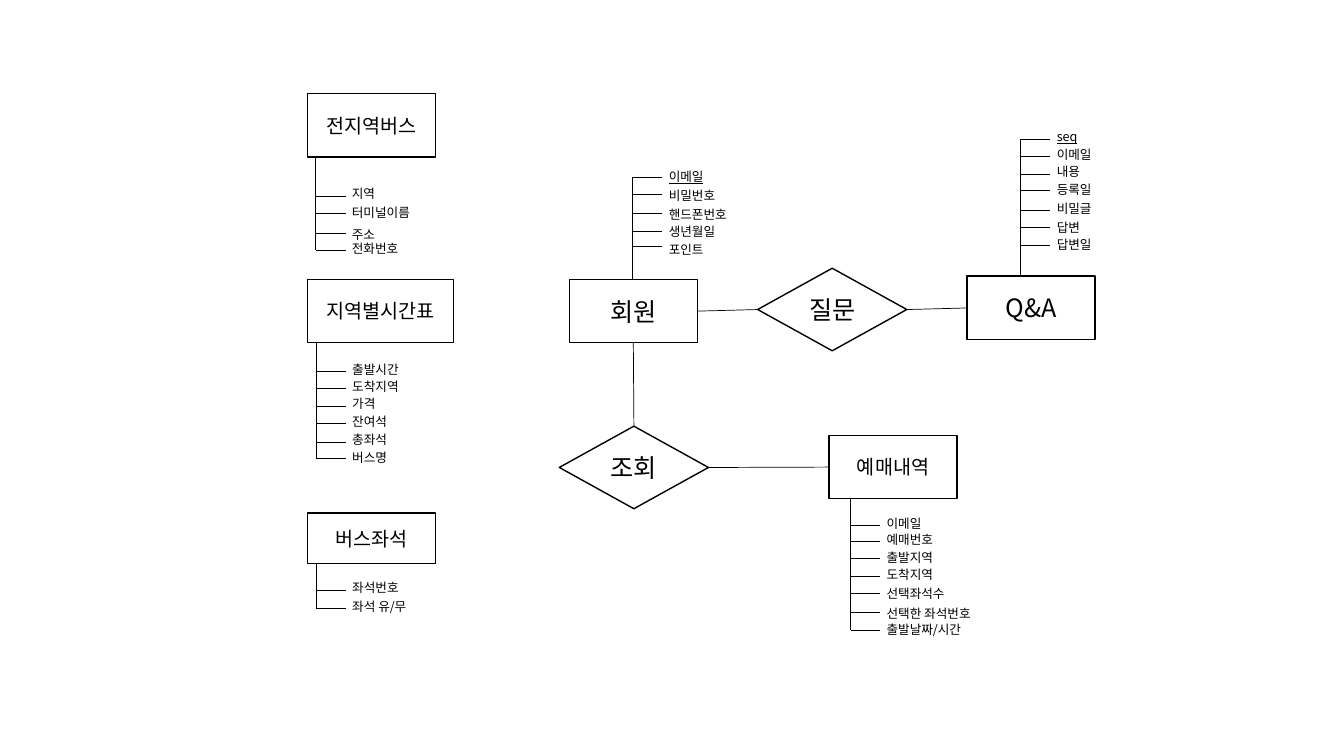
from dataclasses import dataclass

from lxml.etree import SubElement
from pptx import Presentation
from pptx.dml.color import RGBColor
from pptx.enum.shapes import MSO_CONNECTOR, MSO_SHAPE
from pptx.enum.text import MSO_ANCHOR, PP_ALIGN
from pptx.oxml.ns import qn
from pptx.shapes.autoshape import Shape
from pptx.shapes.connector import Connector
from pptx.slide import Slide
from pptx.text.text import TextFrame
from pptx.util import Cm, Pt

FONT = "Noto Sans CJK KR"
BLACK = "000000"
WHITE = "FFFFFF"
TOP, LEFT, BOTTOM, RIGHT = range(4)
BRANCH_LENGTH = 0.75
LABEL_OFFSET = 0.66
LABEL_HEIGHT = 0.64


@dataclass(frozen=True)
class Attribute:
    name: str
    branch_y: float
    label_top: float
    width: float = 2.06
    is_key: bool = False


@dataclass(frozen=True)
class Node:
    name: str
    left: float
    top: float
    width: float = 3.23
    height: float = 1.6
    size: int = 14
    outline: MSO_SHAPE = MSO_SHAPE.RECTANGLE
    trunk_x: float = 0
    attributes: tuple[Attribute, ...] = ()


@dataclass(frozen=True)
class Link:
    start: str
    start_side: int
    end: str
    end_side: int


NODES = (
    Node("전지역버스", 7.75, 2.36, trunk_x=7.96, attributes=(
        Attribute("지역", 4.95, 4.57),
        Attribute("터미널이름", 5.38, 5.05, 2.16),
        Attribute("주소", 5.87, 5.59),
        Attribute("전화번호", 6.3, 5.94),
    )),
    Node("지역별시간표", 7.75, 7.04, width=3.68, trunk_x=7.97, attributes=(
        Attribute("출발시간", 9.35, 8.99),
        Attribute("도착지역", 9.78, 9.42),
        Attribute("가격", 10.24, 9.86, 1.52),
        Attribute("잔여석", 10.67, 10.31, 1.9),
        Attribute("총좌석", 11.15, 10.77, 3.23),
        Attribute("버스명", 11.56, 11.2, 1.5),
    )),
    Node("버스좌석", 7.75, 12.93, height=1.27, trunk_x=7.97, attributes=(
        Attribute("좌석번호", 14.88, 14.5),
        Attribute("좌석 유/무", 15.32, 14.96, 2.2),
    )),
    Node("회원", 14.35, 7.04, size=18, trunk_x=15.95, attributes=(
        Attribute("이메일", 4.47, 4.14, is_key=True),
        Attribute("비밀번호", 4.9, 4.6),
        Attribute("핸드폰번호", 5.38, 5.08, 2.54),
        Attribute("생년월일", 5.82, 5.51),
        Attribute("포인트", 6.22, 5.97),
    )),
    Node("Q&A", 24.38, 6.96, size=18, trunk_x=25.73, attributes=(
        Attribute("seq", 3.51, 3.12, is_key=True),
        Attribute("이메일", 3.94, 3.58),
        Attribute("내용", 4.39, 4.01),
        Attribute("등록일", 4.8, 4.47, 1.85),
        Attribute("비밀글", 5.31, 4.93, 2.01),
        Attribute("답변", 5.72, 5.41, 3.25),
        Attribute("답변일", 6.17, 5.84, 2.54),
    )),
    Node("예매내역", 20.9, 10.97, trunk_x=21.44, attributes=(
        Attribute("이메일", 13.23, 12.88),
        Attribute("예매번호", 13.64, 13.28),
        Attribute("출발지역", 14.07, 13.72),
        Attribute("도착지역", 14.53, 14.15),
        Attribute("선택좌석수", 14.96, 14.63, 3.23),
        Attribute("선택한 좌석번호", 15.44, 15.14, 3.23),
        Attribute("출발날짜/시간", 15.88, 15.54, 2.77),
    )),
    Node("질문", 19.1, 6.76, 3.76, 2.08, 18, MSO_SHAPE.DIAMOND),
    Node("조회", 14.1, 10.74, 3.76, 2.08, 18, MSO_SHAPE.DIAMOND),
)

LINKS = (
    Link("회원", RIGHT, "질문", LEFT),
    Link("질문", RIGHT, "Q&A", LEFT),
    Link("조회", TOP, "회원", BOTTOM),
    Link("조회", RIGHT, "예매내역", LEFT),
)


def rgb(color: str) -> RGBColor:
    return RGBColor.from_string(color)


def write(frame: TextFrame, wording: str, size: int, underline: bool = False) -> None:
    frame.text = wording
    frame.word_wrap = True
    for run in frame.paragraphs[0].runs:
        run.font.name = FONT
        run.font.size = Pt(size)
        run.font.color.rgb = rgb(BLACK)
        if underline:
            run.font.underline = True
        SubElement(run.font._element, qn("a:ea"), typeface=FONT)


def draw_line(slide: Slide, x1: float, y1: float, x2: float, y2: float) -> Connector:
    line = slide.shapes.add_connector(
        MSO_CONNECTOR.STRAIGHT, Cm(x1), Cm(y1), Cm(x2), Cm(y2))
    line.line.color.rgb = rgb(BLACK)
    line.line.width = Pt(0.5)
    SubElement(line._element.spPr, qn("a:effectLst"))
    return line


def draw_node(slide: Slide, node: Node) -> Shape:
    shape = slide.shapes.add_shape(
        node.outline, Cm(node.left), Cm(node.top), Cm(node.width), Cm(node.height))
    shape.shadow.inherit = False
    shape.fill.solid()
    shape.fill.fore_color.rgb = rgb(WHITE)
    shape.line.color.rgb = rgb(BLACK)
    shape.line.width = Pt(1)
    write(shape.text_frame, node.name, node.size)
    shape.text_frame.vertical_anchor = MSO_ANCHOR.MIDDLE
    shape.text_frame.paragraphs[0].alignment = PP_ALIGN.CENTER
    return shape


def draw_attributes(slide: Slide, node: Node) -> None:
    if not node.attributes:
        return
    x = node.trunk_x
    first, last = node.attributes[0].branch_y, node.attributes[-1].branch_y
    if first < node.top:
        draw_line(slide, x, node.top, x, first)
    else:
        draw_line(slide, x, last, x, node.top + node.height)
    for attribute in node.attributes:
        y = attribute.branch_y
        draw_line(slide, x, y, x + BRANCH_LENGTH, y)
        label = slide.shapes.add_textbox(
            Cm(x + LABEL_OFFSET), Cm(attribute.label_top),
            Cm(attribute.width), Cm(LABEL_HEIGHT))
        write(label.text_frame, attribute.name, 9, attribute.is_key)


def draw_link(slide: Slide, link: Link, shapes: dict[str, Shape]) -> None:
    line = draw_line(slide, 0, 0, 0, 0)
    line.begin_connect(shapes[link.start], link.start_side)
    line.end_connect(shapes[link.end], link.end_side)


def main() -> None:
    presentation = Presentation()
    presentation.slide_width = Cm(33.88)
    presentation.slide_height = Cm(19.05)
    slide = presentation.slides.add_slide(presentation.slide_layouts[6])
    shapes = {node.name: draw_node(slide, node) for node in NODES}
    for node in NODES:
        draw_attributes(slide, node)
    for link in LINKS:
        draw_link(slide, link, shapes)
    presentation.save("out.pptx")


if __name__ == "__main__":
    main()
